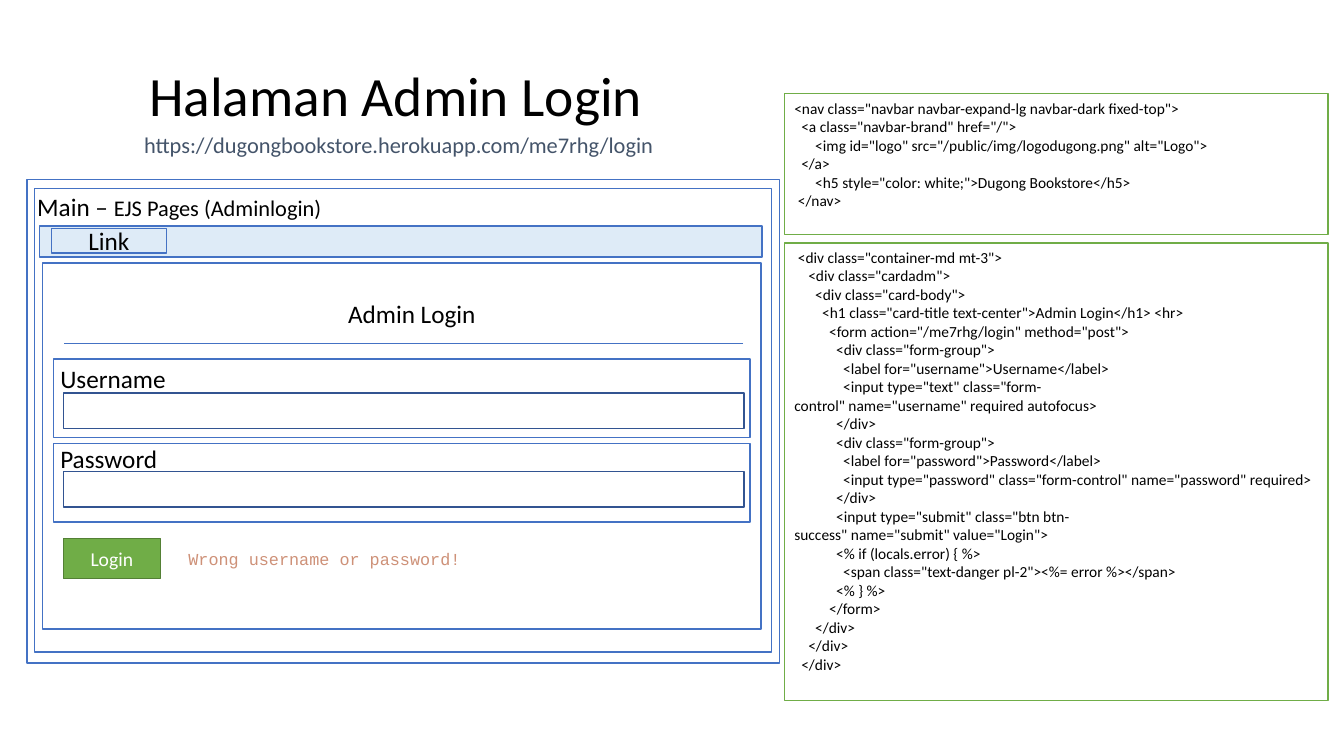
from pptx import Presentation, util as u
from pptx.dml.color import RGBColor
from pptx.enum import shapes, text
from pptx.oxml.ns import qn
from lxml import etree

# Content
TITLE = "Halaman Admin Login"
URL = "https://dugongbookstore.herokuapp.com/me7rhg/login"
FIELDS = [  # label, label top, frame top, input top
    ("Username", 3.56, 3.56, 3.9),
    ("Password", 4.35, 4.4, 4.68),
]
NAV = [  # indent, code
    (0, '<nav class="navbar navbar-expand-lg navbar-dark fixed-top">'),
    (2, '<a class="navbar-brand" href="/">'),
    (6, '<img id="logo" src="/public/img/logodugong.png" alt="Logo">'),
    (2, '</a>'),
    (6, '<h5 style="color: white;">Dugong Bookstore</h5>'),
    (1, '</nav>'),
]
FORM = [
    (1, '<div class="container-md mt-3">'),
    (4, '<div class="cardadm">'),
    (6, '<div class="card-body">'),
    (8, '<h1 class="card-title text-center">Admin Login</h1> <hr>'),
    (10, '<form action="/me7rhg/login" method="post">'),
    (12, '<div class="form-group">'),
    (14, '<label for="username">Username</label>'),
    (14, '<input type="text" class="form-control" name="username" required autofocus>'),
    (12, '</div>'),
    (12, '<div class="form-group">'),
    (14, '<label for="password">Password</label>'),
    (14, '<input type="password" class="form-control" name="password" required>'),
    (12, '</div>'),
    (12, '<input type="submit" class="btn btn-success" name="submit" value="Login">'),
    (12, '<% if (locals.error) { %>'),
    (14, '<span class="text-danger pl-2"><%= error %></span>'),
    (12, '<% } %>'),
    (10, '</form>'),
    (6, '</div>'),
    (4, '</div>'),
    (2, '</div>'),
]
CODE = [(0.93, 1.4, NAV), (2.41, 4.54, FORM)]  # top, height, lines
FRAMES = [  # left, top, width, height, fill
    (0.27, 1.78, 7.46, 4.8, "FFFFFF"),
    (0.34, 1.87, 7.31, 4.6, "FFFFFF"),
    (0.42, 2.61, 7.13, 3.63, "FFFFFF"),
    (0.39, 2.24, 7.17, 0.31, "DEEBF7"),
]
BLUE, NAVY, GREEN = "4472C4", "325491", "70AD47"
HARD = chr(160)  # no-break space, keeps code words together

deck = Presentation()
deck.slide_width, deck.slide_height = u.Inches(13.33), u.Inches(7.5)
page = deck.slides.add_slide(deck.slide_layouts[6])


def tint(code):
    return RGBColor.from_string(code)


def rect(x, y, w, h, fill, line):
    box = page.shapes.add_shape(shapes.MSO_SHAPE.RECTANGLE, *map(u.Inches, (x, y, w, h)))
    box.shadow.inherit = False
    if fill:
        box.fill.solid()
        box.fill.fore_color.rgb = tint(fill)
    else:
        box.fill.background()
    box.line.color.rgb = tint(line)
    box.line.width = u.Pt(1)
    return box


def area(x, y, w, h):
    return page.shapes.add_textbox(*map(u.Inches, (x, y, w, h)))


def write(box, *lines, size=18, font="Calibri", color="000000", mid=False,
          center=False, wrap=True, space=None, tail=None):
    frame = box.text_frame
    frame.word_wrap = wrap
    anchor = text.MSO_ANCHOR
    frame.vertical_anchor = anchor.MIDDLE if mid else anchor.TOP
    for i, line in enumerate(lines):
        par = frame.add_paragraph() if i else frame.paragraphs[0]
        par.alignment = text.PP_ALIGN.CENTER if center else text.PP_ALIGN.LEFT
        if space:
            par.line_spacing = space
        for part, pts in [(line, size)] + ([tail] if tail else []):
            run = par.add_run()
            run.text = part
            run.font.size, run.font.name = u.Pt(pts), font
            run.font.color.rgb = tint(color)


# Heading
write(area(1.38, 0.67, 5.23, 0.62), TITLE, size=39.6, mid=True, space=0.9)
write(area(1.33, 1.25, 5.32, 0.37), URL, size=16, color="44546A", wrap=False)

# Page wireframe
for *place, fill in FRAMES:
    rect(*place, fill, BLUE)
write(area(0.27, 1.85, 3.25, 0.31), "Main – ", tail=("EJS Pages (Adminlogin)", 16))
write(rect(0.51, 2.27, 1.14, 0.24, "DEEBF7", BLUE), "Link", mid=True, center=True)
write(area(0.63, 2.91, 6.91, 0.4), "Admin Login", center=True)
rule = page.shapes.add_connector(
    shapes.MSO_CONNECTOR.STRAIGHT, *map(u.Inches, (7.37, 3.41, 0.63, 3.41)))
rule.line.color.rgb = tint(BLUE)
rule.line.width = u.Pt(0.5)
etree.SubElement(rule._element.spPr, qn("a:effectLst"))

# Form fields
for label, top, edge, entry in FIELDS:
    rect(0.53, edge, 6.91, 0.78, "FFFFFF", BLUE)
    rect(0.63, entry, 6.75, 0.35, None, NAVY)
    write(area(0.5, top, 1.57, 0.4), label)

# Button and error message
write(rect(0.63, 5.34, 0.96, 0.4, GREEN, "538035"), "Login",
      size=14, color="FFFFFF", mid=True, center=True)
write(area(1.77, 5.39, 3.58, 0.3), "Wrong username or password!".replace(" ", HARD),
      size=12, font="Courier New", color="CE9178")

# Code panels
for top, high, rows in CODE:
    lines = [HARD * dent + code.replace(" ", HARD) for dent, code in rows]
    write(rect(7.78, top, 5.39, high, "FFFFFF", GREEN), *lines, size=11)

deck.save("out.pptx")
